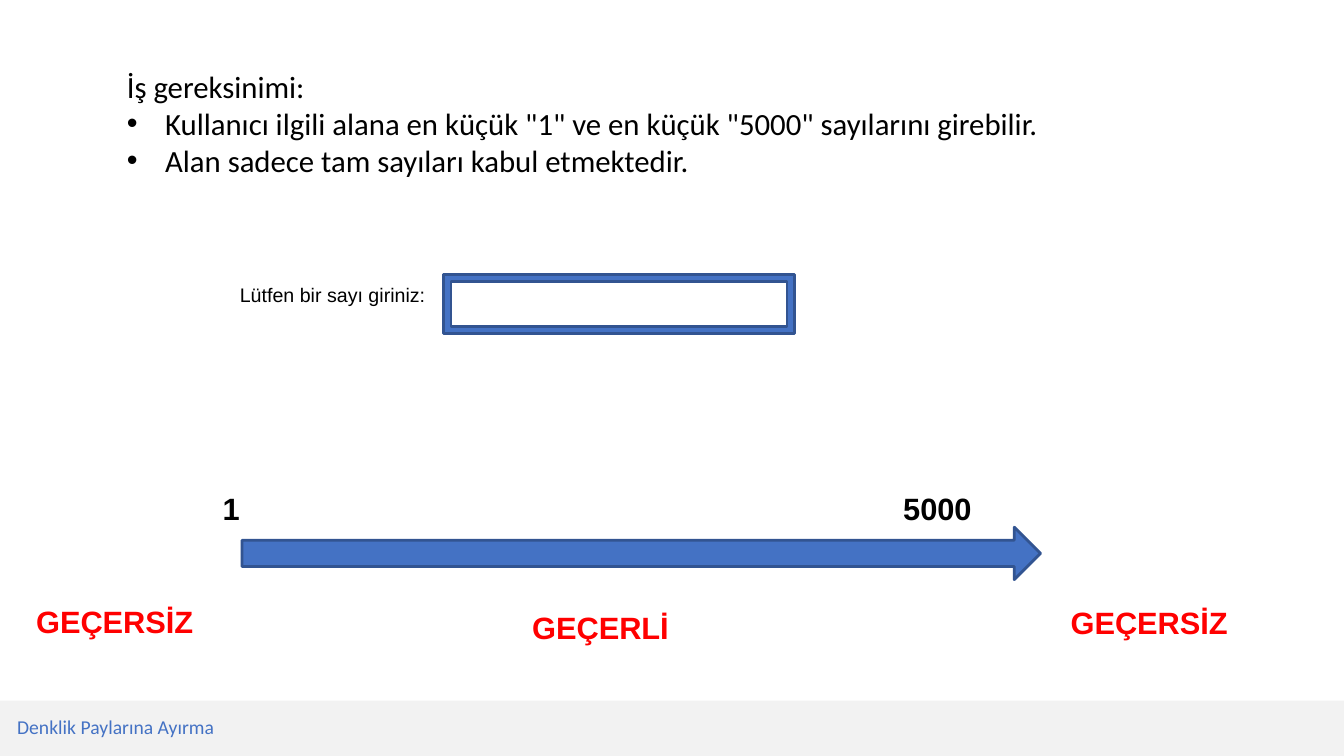
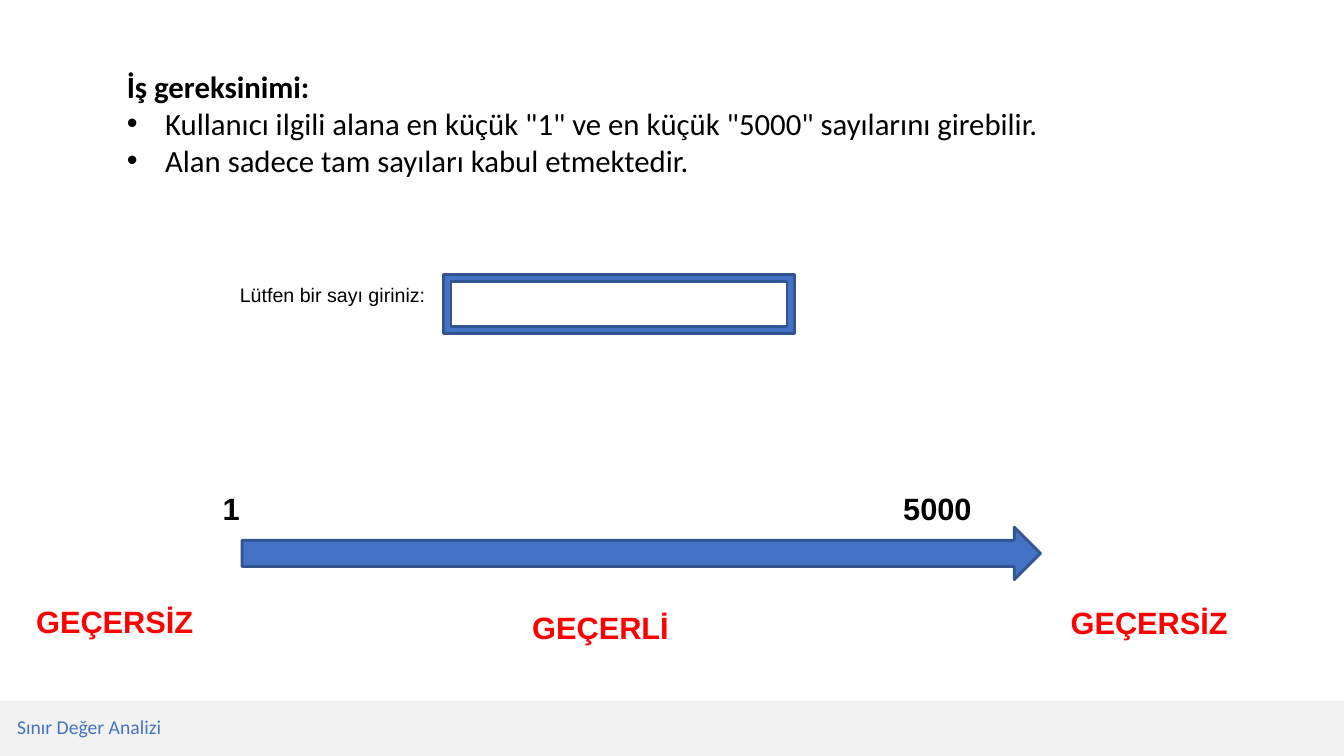
"""Builds two slides on test design techniques for a number field."""
from lxml import etree
from pptx import Presentation
from pptx.dml.color import RGBColor
from pptx.enum.shapes import MSO_SHAPE
from pptx.enum.text import MSO_ANCHOR, MSO_AUTO_SIZE, PP_ALIGN
from pptx.oxml.ns import qn
from pptx.util import Pt

BAND, FRAME, ARROW = MSO_SHAPE.RECTANGLE, MSO_SHAPE.FRAME, MSO_SHAPE.RIGHT_ARROW
LEFT, BOTTOM, TOP = PP_ALIGN.LEFT, MSO_ANCHOR.BOTTOM, MSO_ANCHOR.TOP
NO_FIT, GROW = MSO_AUTO_SIZE.NONE, MSO_AUTO_SIZE.SHAPE_TO_FIT_TEXT

EMU_PER_PX = 9144
SLIDE_W, SLIDE_H, BAND_H = 1333, 750, 55
BULLET_INDENT = 38
LAYOUT_TITLE_ONLY = 5

COLORS = {"band": "F2F2F2", "blue": "4472C4", "outline": "325491",
          "text": "000000", "verdict": "FF0000"}

STYLES = {
    "title": ({"name": "Calibri", "size": Pt(14), "bold": False}, "blue"),
    "heading": ({"name": "Calibri", "size": Pt(22), "bold": True}, "text"),
    "body": ({"name": "Calibri", "size": Pt(22), "bold": False}, "text"),
    "prompt": ({"name": "Arial", "size": Pt(14), "bold": False}, "text"),
    "limit": ({"name": "Arial", "size": Pt(22), "bold": True}, "text"),
    "verdict": ({"name": "Arial", "size": Pt(22), "bold": True}, "verdict"),
}

SLIDES = [("Denklik Paylarına Ayırma", "body"),
          ("Sınır Değer Analizi", "heading")]

REQUIREMENT_HEADING = "İş gereksinimi:"
REQUIREMENTS = [
    'Kullanıcı ilgili alana en küçük "1" ve en küçük "5000" sayılarını girebilir.',
    "Alan sadece tam sayıları kabul etmektedir.",
]

TITLE_BOX = (7, 701, 564, 37)
REQUIREMENT_BOX = (116, 62, 937, 121)
DIAGRAM = [(FRAME, (440, 272, 348, 59)), (ARROW, (240, 523, 792, 52))]
LABELS = [
    ("Lütfen bir sayı giriniz:", "prompt", (228, 276, 205, 34), False),
    ("5000", "limit", (886, 481, 146, 47), True),
    ("1", "limit", (211, 481, 56, 47), True),
    ("GEÇERLİ", "verdict", (518, 599, 157, 47), False),
    ("GEÇERSİZ", "verdict", (1052, 594, 178, 47), False),
    ("GEÇERSİZ", "verdict", (26, 593, 178, 47), False),
]


def px(value):
    return value * EMU_PER_PX


def color(name):
    return RGBColor.from_string(COLORS[name])


def apply(target, values):
    for attribute, value in values.items():
        setattr(target, attribute, value)


def write(paragraph, text, style):
    font_values, color_name = STYLES[style]
    paragraph.text = text
    paragraph.alignment = LEFT
    apply(paragraph.font, font_values)
    paragraph.font.color.rgb = color(color_name)


def add_bullet(paragraph):
    properties = paragraph._p.get_or_add_pPr()
    properties.set("marL", str(px(BULLET_INDENT)))
    properties.set("indent", str(-px(BULLET_INDENT)))
    etree.SubElement(properties, qn("a:buFont")).set("typeface", "Arial")
    etree.SubElement(properties, qn("a:buChar")).set("char", "•")


def add_text_frame(slide, box, wrap):
    frame = slide.shapes.add_textbox(*map(px, box)).text_frame
    apply(frame, {"word_wrap": wrap, "auto_size": GROW, "vertical_anchor": TOP})
    return frame


def add_filled(slide, kind, box, fill, outline=None):
    shape = slide.shapes.add_shape(kind, *map(px, box))
    shape.shadow.inherit = False
    shape.fill.solid()
    shape.fill.fore_color.rgb = color(fill)
    if outline:
        shape.line.color.rgb = color(outline)
        shape.line.width = Pt(2)
    else:
        shape.line.fill.background()
    return shape


def add_title_band(slide, text):
    band = add_filled(slide, BAND, (0, SLIDE_H - BAND_H, SLIDE_W, BAND_H), "band")
    title = slide.shapes.title
    title._element.addprevious(band._element)
    apply(title, dict(zip(("left", "top", "width", "height"), map(px, TITLE_BOX))))
    apply(title.text_frame, {"word_wrap": True, "auto_size": NO_FIT,
                             "vertical_anchor": BOTTOM})
    paragraph = title.text_frame.paragraphs[0]
    write(paragraph, text, "title")
    paragraph.line_spacing = 0.9


def add_requirements(slide, heading_style):
    frame = add_text_frame(slide, REQUIREMENT_BOX, False)
    write(frame.paragraphs[0], REQUIREMENT_HEADING, heading_style)
    for requirement in REQUIREMENTS:
        paragraph = frame.add_paragraph()
        add_bullet(paragraph)
        write(paragraph, requirement, "body")


def main():
    deck = Presentation()
    deck.slide_width, deck.slide_height = px(SLIDE_W), px(SLIDE_H)
    for title, heading_style in SLIDES:
        slide = deck.slides.add_slide(deck.slide_layouts[LAYOUT_TITLE_ONLY])
        add_title_band(slide, title)
        add_requirements(slide, heading_style)
        for kind, box in DIAGRAM:
            add_filled(slide, kind, box, "blue", "outline")
        for text, style, box, wrap in LABELS:
            write(add_text_frame(slide, box, wrap).paragraphs[0], text, style)
    deck.save("out.pptx")


if __name__ == "__main__":
    main()
